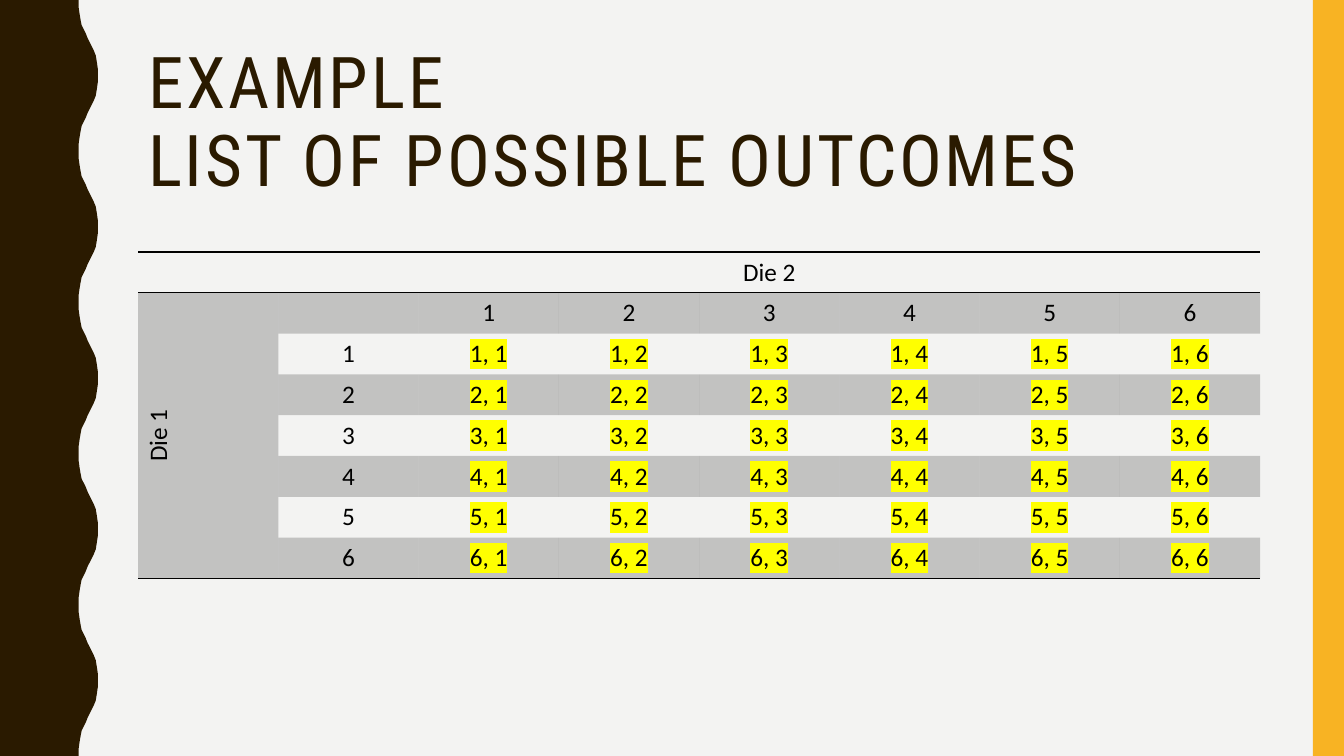
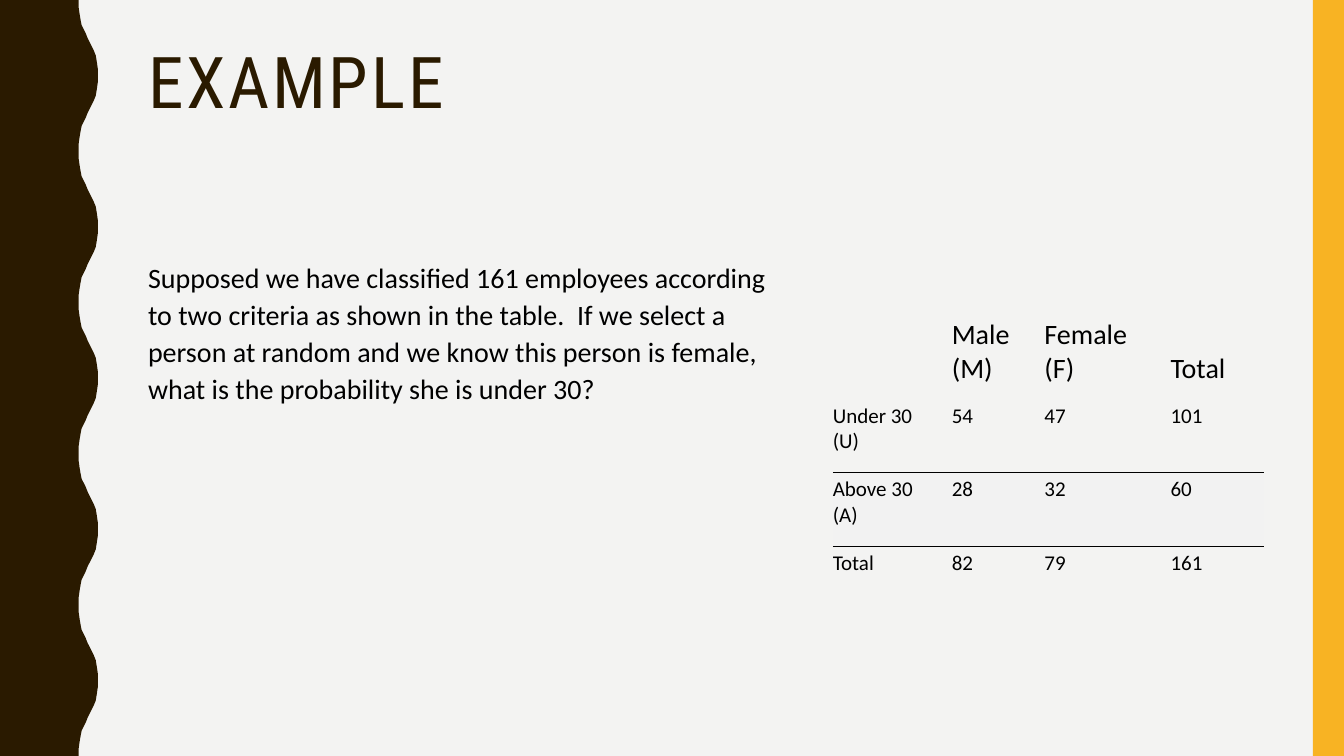
from lxml import etree
from pptx import Presentation
from pptx import util as u
from pptx.dml.color import RGBColor
from pptx.enum import shapes, text
from pptx.oxml.ns import qn

COLORS = {
    "paper": "F3F3F2",
    "wave": "2A1A00",
    "stripe": "F8B323",
    "ink": "000000",
    "marker": "FFFF00",
    "row": "F2F2F2",
}
TITLE = {"size": u.Pt(51), "name": "Roboto Condensed"}
BODY = {"size": u.Pt(20), "name": "Calibri"}
OUTCOME = {"size": u.Pt(18), "name": "Calibri"}
COUNT = {"size": u.Pt(15), "name": "Calibri"}
OUTCOME_CELL = {"vertical_anchor": text.MSO_ANCHOR.MIDDLE}
COUNT_CELL = {
    "margin_left": 0,
    "margin_top": u.Inches(0.04),
    "margin_right": u.Inches(0.13),
    "margin_bottom": u.Inches(0.13),
}
COUNT_HEAD = {
    **COUNT_CELL,
    "margin_top": u.Inches(0.03),
    "vertical_anchor": text.MSO_ANCHOR.BOTTOM,
}

# Wave edge in hundredths of an inch: trough to crest, mirrored for the way back
WAVE_RISE = [(78, 0), (78, 7), (79, 14), (80, 20), (81, 25), (83, 29), (85, 33), (87, 38),
             (89, 42), (91, 46), (93, 50), (95, 55), (96, 61), (97, 68), (97, 75)]
WAVE_LENGTH = 150
WAVE_COUNT = 5

NO_STYLE = "{2D5ABB26-0587-4C30-8999-92F81FD0307C}"
FACES = 6


def rgb(key):
    return RGBColor.from_string(COLORS[key])


def apply(target, values):
    for attribute, value in values.items():
        setattr(target, attribute, value)


def paint(shape, key):
    shape.shadow.inherit = False
    shape.fill.solid()
    shape.fill.fore_color.rgb = rgb(key)
    shape.line.fill.background()


def write(frame, words, font, key="ink", **layout):
    """Fill a text frame with one paragraph and return its first run."""
    paragraph = frame.paragraphs[0]
    paragraph.text = words
    apply(paragraph, layout)
    for run in paragraph.runs:
        apply(run.font, font)
        run.font.color.rgb = rgb(key)
    return paragraph.runs[0]


# Shared slide parts
def add_wave(slide):
    fall = [(x, WAVE_LENGTH - y) for x, y in reversed(WAVE_RISE[:-1])]
    edge = [(x, y + n * WAVE_LENGTH) for n in range(WAVE_COUNT) for x, y in WAVE_RISE + fall]
    outline = slide.shapes.build_freeform(0, 0, scale=u.Inches(0.01))
    outline.add_line_segments(edge + [(0, WAVE_COUNT * WAVE_LENGTH)], close=True)
    paint(outline.convert_to_shape(), "wave")


def add_text(slide, box, words, font, key="ink", **layout):
    frame = slide.shapes.add_textbox(*map(u.Inches, box)).text_frame
    frame.word_wrap = True
    write(frame, words, font, key, **layout)
    return frame


def add_slide(prs, title):
    slide = prs.slides.add_slide(prs.slide_layouts[6])
    add_wave(slide)
    stripe = slide.shapes.add_shape(
        shapes.MSO_SHAPE.RECTANGLE, *map(u.Inches, (13.02, 0, 0.31, 7.5)))
    paint(stripe, "stripe")
    heading = add_text(slide, (1.37, 0.42, 11.13, 1.63), title, TITLE, "wave", line_spacing=0.9)
    for run in heading.paragraphs[0].runs:
        run.font._element.set("spc", "200")
    return slide


# Table parts
def add_grid(slide, left, top, widths, heights):
    grid = slide.shapes.add_table(
        len(heights), len(widths),
        *map(u.Inches, (left, top, sum(widths), sum(heights)))).table
    apply(grid, {"first_row": False, "horz_banding": False})
    grid._tbl.tblPr.find(qn("a:tableStyleId")).text = NO_STYLE
    for column, width in zip(grid.columns, widths):
        column.width = u.Inches(width)
    for row, height in zip(grid.rows, heights):
        row.height = u.Inches(height)
    return grid


def rule(cell, side, points):
    """Draw a top (T) or bottom (B) border; call before shading the cell."""
    props = cell._tc.get_or_add_tcPr()
    line = etree.SubElement(props, qn(f"a:ln{side}"), w=str(u.Pt(points)))
    solid = etree.SubElement(line, qn("a:solidFill"))
    etree.SubElement(solid, qn("a:srgbClr"), val=COLORS["ink"])


def shade(cell, key=None, alpha=None):
    if key is None:
        cell.fill.background()
        return
    cell.fill.solid()
    cell.fill.fore_color.rgb = rgb(key)
    if alpha:
        color = cell._tc.tcPr.find(qn("a:solidFill")).find(qn("a:srgbClr"))
        etree.SubElement(color, qn("a:alpha"), val=str(alpha * 1000))


def highlight(run):
    marker = etree.Element(qn("a:highlight"))
    etree.SubElement(marker, qn("a:srgbClr"), val=COLORS["marker"])
    run.font._element.find(qn("a:solidFill")).addnext(marker)


def outcome_words(row, column):
    """Text of the dice table: two label lines, two number lines, then pairs."""
    die_1, die_2 = row - 1, column - 1
    if row == 0:
        return "Die 2" if column == 1 else ""
    if column == 0:
        return "Die 1" if row == 1 else ""
    if row == 1:
        return str(die_2) if die_2 else ""
    return f"{die_1}, {die_2}" if die_2 else str(die_1)


def add_outcomes(slide):
    size = FACES + 2
    grid = add_grid(slide, 1.37, 2.5, [11.13 / size] * size, [3.24 / size] * size)
    for row in range(size):
        for column in range(size):
            cell = grid.cell(row, column)
            if row == 0:
                rule(cell, "T", 1)
            if row in (0, size - 1) or (row, column) == (1, 0):
                rule(cell, "B", 1)
            banded = row > 0 and (column == 0 or row % 2 == 1)
            shade(cell, "ink" if banded else None, alpha=20)
            apply(cell, OUTCOME_CELL)
            words = outcome_words(row, column)
            if words:
                run = write(cell.text_frame, words, OUTCOME, alignment=text.PP_ALIGN.CENTER)
                if row > 1 and column > 1:
                    highlight(run)
    grid.cell(0, 1).merge(grid.cell(0, size - 1))
    die_1 = grid.cell(1, 0)
    die_1.merge(grid.cell(size - 1, 0))
    die_1._tc.tcPr.set("vert", "vert270")


def add_employees(slide):
    counts = [
        ["", "Male (M)", "Female (F)", "Total"],
        ["Under 30 (U)", "54", "47", "101"],
        ["Above 30 (A)", "28", "32", "60"],
        ["Total", "82", "79", "161"],
    ]
    grid = add_grid(slide, 8.26, 3.08, [1.18, 0.92, 1.25, 0.93], [0.88, 0.73, 0.73, 0.47])
    borders = {1: "B", 2: "T"}
    for row, line in enumerate(counts):
        for column, words in enumerate(line):
            cell = grid.cell(row, column)
            if row in borders:
                rule(cell, borders[row], 0.75)
            shade(cell, "row" if row == 2 else None)
            apply(cell, COUNT_CELL if row else COUNT_HEAD)
            if words:
                write(cell.text_frame, words, COUNT if row else BODY)


def main():
    prs = Presentation()
    apply(prs, {"slide_width": u.Inches(13.33), "slide_height": u.Inches(7.5)})
    paper = prs.slide_master.background.fill
    paper.solid()
    paper.fore_color.rgb = rgb("paper")

    # Dice outcomes
    add_outcomes(add_slide(prs, "EXAMPLE\vLIST OF POSSIBLE OUTCOMES"))

    # Employee question
    employees = add_slide(prs, "EXAMPLE")
    add_text(
        employees, (1.37, 2.5, 6.54, 3.93),
        "Supposed we have classified 161 employees according to two criteria as shown "
        "in the table.  If we select a person at random and we know this person is "
        "female, what is the probability she is under 30?",
        BODY, line_spacing=1.1)
    add_employees(employees)

    prs.save("out.pptx")


if __name__ == "__main__":
    main()
